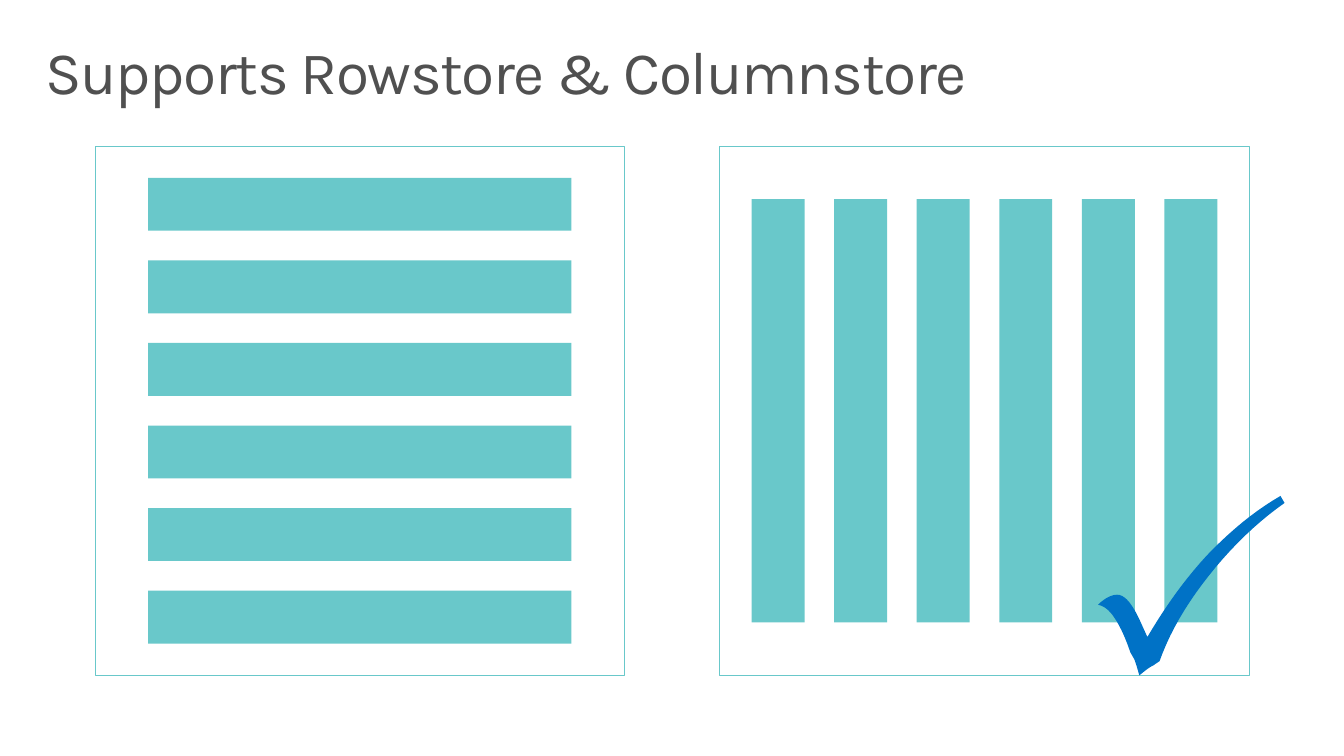
from dataclasses import dataclass
from typing import NamedTuple

from pptx import Presentation, util as u
from pptx.dml.color import RGBColor
from pptx.enum import shapes, text


@dataclass(frozen=True)
class Theme:
    ink: RGBColor = RGBColor(0x50, 0x50, 0x50)
    teal: RGBColor = RGBColor(0x69, 0xC8, 0xCA)
    blue: RGBColor = RGBColor(0x00, 0x72, 0xC6)
    font: str = "Karla"
    title_size: float = 43.1
    title_spacing: int = -93  # hundredths of a point
    frame_line: float = 0.85


class Area(NamedTuple):
    """Left, top, width and height in inches."""
    left: float
    top: float
    width: float
    height: float


@dataclass(frozen=True)
class StorePanel:
    left: float  # percent of the slide width
    upright: bool


class Curve(NamedTuple):
    """Cubic curve from the previous point, in inches."""
    first: tuple[float, float]
    second: tuple[float, float]
    end: tuple[float, float]


THEME = Theme()
SLIDE_WIDTH, SLIDE_HEIGHT = 13.33, 7.5

# Panels: bar measures are shares of the panel side
PANELS = [StorePanel(7.08, False), StorePanel(53.56, True)]
PANEL_TOP, PANEL_SIDE = 19.33, 70  # percent of the slide height
BAR_COUNT, BAR_THICKNESS, BAR_LENGTH, BAR_MARGIN = 6, 0.1, 0.8, 0.06

# Check mark outline: a bare point is a straight edge
CHECK_START = (12.7, 4.92)
CHECK_EDGES = [
    (12.74, 4.99),
    Curve((12.47, 5.18), (12.22, 5.42), (11.99, 5.71)),
    Curve((11.76, 6), (11.6, 6.28), (11.5, 6.56)),
    (11.44, 6.6),
    Curve((11.38, 6.63), (11.34, 6.67), (11.3, 6.7)),
    Curve((11.29, 6.67), (11.28, 6.62), (11.25, 6.54)),
    (11.21, 6.47),
    Curve((11.15, 6.29), (11.09, 6.18), (11.04, 6.11)),
    Curve((10.99, 6.04), (10.94, 6.01), (10.89, 6)),
    Curve((10.96, 5.93), (11.03, 5.9), (11.08, 5.9)),
    Curve((11.16, 5.9), (11.24, 6), (11.33, 6.21)),
    (11.38, 6.32),
    Curve((11.55, 6.03), (11.74, 5.76), (11.97, 5.51)),
    Curve((12.2, 5.27), (12.44, 5.07), CHECK_START),
]
CURVE_STEPS = 10


def across(percent: float) -> float:
    return SLIDE_WIDTH * percent / 100


def down(percent: float) -> float:
    return SLIDE_HEIGHT * percent / 100


def apply_format(target, values: dict) -> None:
    for name, value in values.items():
        setattr(target, name, value)


def add_title(page, wording: str) -> None:
    box = page.shapes.title
    apply_format(box, {
        "left": u.Inches(across(2.18)), "top": u.Inches(down(4.27)),
        "width": u.Inches(across(95.65)), "height": u.Inches(down(13.07)),
    })
    frame = box.text_frame
    apply_format(frame, {
        "margin_left": u.Inches(0.16), "margin_right": u.Inches(0.16),
        "margin_top": u.Inches(0.1), "margin_bottom": u.Inches(0.1),
        "word_wrap": True, "auto_size": text.MSO_AUTO_SIZE.NONE,
        "vertical_anchor": text.MSO_ANCHOR.TOP,
    })
    para = frame.paragraphs[0]
    apply_format(para, {"alignment": text.PP_ALIGN.LEFT, "line_spacing": 0.9})
    span = para.add_run()
    span.text = wording
    apply_format(span.font, {"name": THEME.font, "size": u.Pt(THEME.title_size)})
    span.font.color.rgb = THEME.ink
    span.font._element.set("spc", str(THEME.title_spacing))


def add_rectangle(group, area: Area):
    box = group.shapes.add_shape(
        shapes.MSO_SHAPE.RECTANGLE, *(u.Inches(length) for length in area))
    box.shadow.inherit = False
    return box


def paint(box, color: RGBColor) -> None:
    box.fill.solid()
    box.fill.fore_color.rgb = color
    box.line.fill.background()


def add_panel(page, panel: StorePanel) -> None:
    group = page.shapes.add_group_shape()
    left, top, side = across(panel.left), down(PANEL_TOP), down(PANEL_SIDE)

    frame = add_rectangle(group, Area(left, top, side, side))
    frame.fill.background()
    frame.line.color.rgb = THEME.teal
    frame.line.width = u.Pt(THEME.frame_line)

    pitch = (1 - 2 * BAR_MARGIN - BAR_THICKNESS) / (BAR_COUNT - 1) * side
    inset = (1 - BAR_LENGTH) / 2 * side
    thickness, length = BAR_THICKNESS * side, BAR_LENGTH * side
    for index in range(BAR_COUNT):
        offset = BAR_MARGIN * side + index * pitch
        if panel.upright:
            area = Area(left + offset, top + inset, thickness, length)
        else:
            area = Area(left + inset, top + offset, length, thickness)
        paint(add_rectangle(group, area), THEME.teal)


def curve_points(start: tuple[float, float], curve: Curve) -> list[tuple[float, float]]:
    points = []
    for step in range(1, CURVE_STEPS + 1):
        t = step / CURVE_STEPS
        weights = ((1 - t) ** 3, 3 * t * (1 - t) ** 2, 3 * t ** 2 * (1 - t), t ** 3)
        points.append(tuple(
            sum(weight * value for weight, value in zip(weights, values))
            for values in zip(start, *curve)))
    return points


def add_check_mark(page) -> None:
    points = [CHECK_START]
    for edge in CHECK_EDGES:
        if isinstance(edge, Curve):
            points += curve_points(points[-1], edge)
        else:
            points.append(edge)
    # The builder keeps whole units only, so the outline is given in EMU
    outline = [(u.Inches(x), u.Inches(y)) for x, y in points]
    builder = page.shapes.build_freeform(*outline[0], scale=1.0)
    builder.add_line_segments(outline[1:], close=True)
    mark = builder.convert_to_shape()
    mark.shadow.inherit = False
    paint(mark, THEME.blue)


def main() -> None:
    deck = Presentation()
    deck.slide_width = u.Inches(SLIDE_WIDTH)
    deck.slide_height = u.Inches(SLIDE_HEIGHT)
    page = deck.slides.add_slide(deck.slide_layouts.get_by_name("Title Only"))

    add_title(page, "Supports Rowstore & Columnstore")
    for panel in PANELS:
        add_panel(page, panel)
    add_check_mark(page)
    deck.save("out.pptx")


if __name__ == "__main__":
    main()
